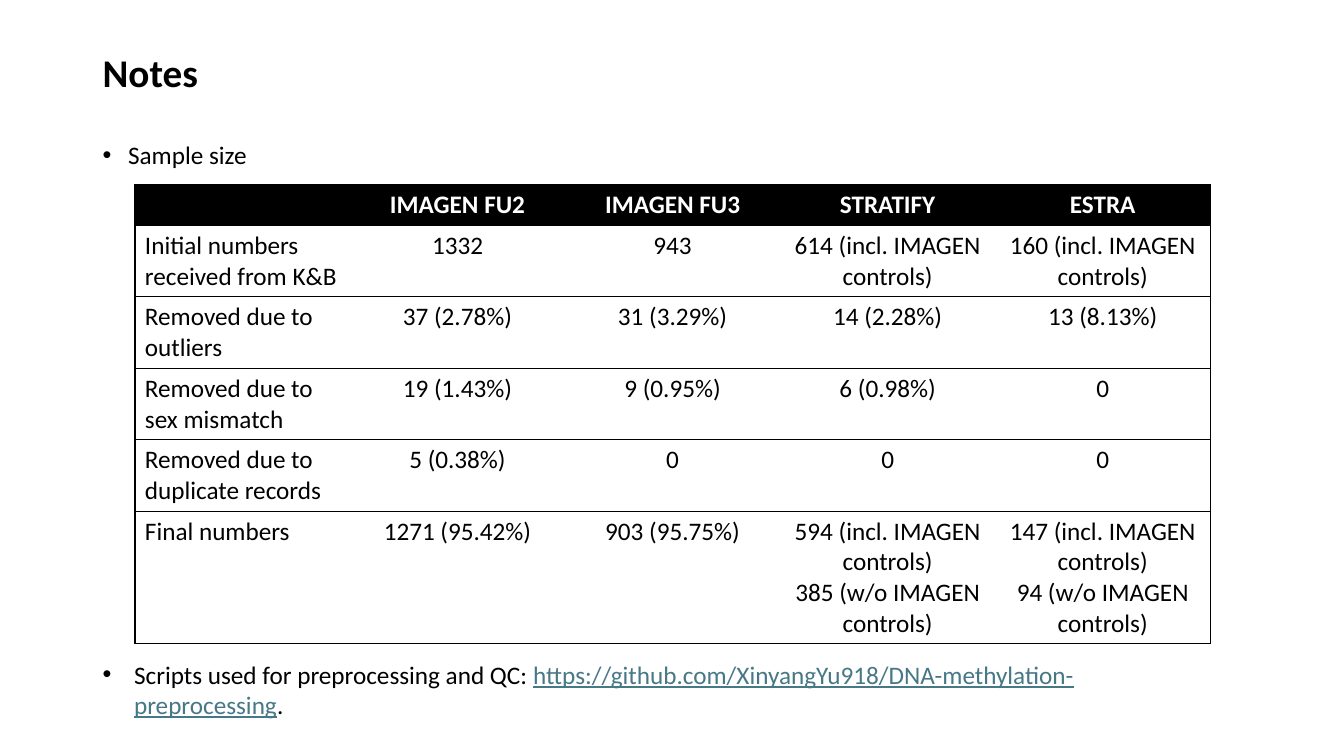
"""Build the notes slide with sample sizes per cohort and the script location."""
from dataclasses import dataclass

from lxml.etree import SubElement
from pptx import Presentation
from pptx.dml.color import RGBColor
from pptx.enum.text import MSO_ANCHOR, PP_ALIGN
from pptx.oxml.ns import qn
from pptx.util import Cm, Pt

COLORS = {"ink": "000000", "paper": "FFFFFF", "link": "467886"}
FONT = "Calibri"
COLUMN_WIDTH = 5.42
HEADER_HEIGHT, LINE_HEIGHT, CELL_PADDING = 1.03, 0.77, 0.26
BODY_LINES = (2, 2, 2, 2, 4)

SAMPLE_SIZES = (
    ("", "IMAGEN FU2", "IMAGEN FU3", "STRATIFY", "ESTRA"),
    ("Initial numbers received from K&B", "1332", "943",
     "614 (incl. IMAGEN controls)", "160 (incl. IMAGEN controls)"),
    ("Removed due to outliers", "37 (2.78%)", "31 (3.29%)", "14 (2.28%)", "13 (8.13%)"),
    ("Removed due to sex mismatch", "19 (1.43%)", "9 (0.95%)", "6 (0.98%)", "0"),
    ("Removed due to duplicate records", "5 (0.38%)", "0", "0", "0"),
    ("Final numbers", "1271 (95.42%)", "903 (95.75%)",
     "594 (incl. IMAGEN controls)\n385 (w/o IMAGEN controls)",
     "147 (incl. IMAGEN controls)\n94 (w/o IMAGEN controls)"),
)


@dataclass(frozen=True)
class Piece:
    """A stretch of text in one style."""
    text: str
    color: str = "ink"
    size: float = 18
    bold: bool = False
    underline: bool = False


@dataclass(frozen=True)
class Passage:
    """A paragraph in its own box, measured in centimetres."""
    left: float
    top: float
    width: float
    height: float
    pieces: tuple[Piece, ...]
    indent: float = 0
    line_spacing: float = 1.0
    anchor: MSO_ANCHOR = MSO_ANCHOR.TOP


PASSAGES = (
    Passage(2.34, 0.05, 29.21, 3.68, (Piece("Notes", size=28, bold=True),),
            line_spacing=0.9, anchor=MSO_ANCHOR.MIDDLE),
    Passage(2.34, 3.48, 29.21, 1.1, (Piece("Sample size"),), indent=0.64, line_spacing=0.9),
    Passage(2.34, 16.48, 28.14, 1.8, (
        Piece("Scripts used for preprocessing and QC: "),
        Piece("https://github.com/XinyangYu918/DNA-methylation-preprocessing",
              color="link", underline=True),
        Piece("."),
    ), indent=0.79),
)


def color(name: str) -> RGBColor:
    """Return a palette colour."""
    return RGBColor.from_string(COLORS[name])


def add_piece(paragraph, piece: Piece) -> None:
    """Append one styled run."""
    run = paragraph.add_run()
    run.text = piece.text
    run.font.name = FONT
    run.font.size = Pt(piece.size)
    run.font.bold = piece.bold
    run.font.underline = piece.underline
    run.font.color.rgb = color(piece.color)


def add_bullet(paragraph, indent: float) -> None:
    """Give a paragraph a round bullet with a hanging indent."""
    properties = paragraph._p.get_or_add_pPr()
    properties.set("marL", str(Cm(indent)))
    properties.set("indent", str(-Cm(indent)))
    SubElement(properties, qn("a:buFont"), typeface="Arial")
    SubElement(properties, qn("a:buChar"), char="•")


def add_passage(slide, passage: Passage) -> None:
    """Place a passage on the slide."""
    box = slide.shapes.add_textbox(
        Cm(passage.left), Cm(passage.top), Cm(passage.width), Cm(passage.height))
    frame = box.text_frame
    frame.word_wrap = True
    frame.vertical_anchor = passage.anchor
    paragraph = frame.paragraphs[0]
    if passage.indent:
        add_bullet(paragraph, passage.indent)
    paragraph.line_spacing = passage.line_spacing
    for piece in passage.pieces:
        add_piece(paragraph, piece)


def set_borders(cell, visible_sides: str) -> None:
    """Rule the given sides of a cell and clear the others."""
    properties = cell._tc.get_or_add_tcPr()
    for side in "LRTB":
        line = SubElement(properties, qn(f"a:ln{side}"), w=str(Pt(1)))
        if side in visible_sides:
            fill = SubElement(line, qn("a:solidFill"))
            SubElement(fill, qn("a:srgbClr"), val=COLORS["ink"])
        else:
            SubElement(line, qn("a:noFill"))


def add_sample_sizes(slide) -> None:
    """Draw the sample size table."""
    heights = [HEADER_HEIGHT] + [CELL_PADDING + LINE_HEIGHT * lines for lines in BODY_LINES]
    last = len(SAMPLE_SIZES[0]) - 1
    table = slide.shapes.add_table(
        len(SAMPLE_SIZES), last + 1, Cm(3.4), Cm(4.65),
        Cm(COLUMN_WIDTH * (last + 1)), Cm(sum(heights))).table
    table.first_row = table.horz_banding = False
    for column in table.columns:
        column.width = Cm(COLUMN_WIDTH)
    for r, (entries, height) in enumerate(zip(SAMPLE_SIZES, heights)):
        table.rows[r].height = Cm(height)
        header = r == 0
        for c, entry in enumerate(entries):
            cell = table.cell(r, c)
            set_borders(cell, "TB" + "L" * (c == 0) + "R" * (c == last))
            cell.fill.solid()
            cell.fill.fore_color.rgb = color("ink" if header else "paper")
            frame = cell.text_frame
            for i, text in enumerate(entry.split("\n") if entry else ()):
                paragraph = frame.add_paragraph() if i else frame.paragraphs[0]
                paragraph.alignment = PP_ALIGN.CENTER if c else PP_ALIGN.LEFT
                add_piece(paragraph, Piece(text, "paper" if header else "ink", bold=header))


def main() -> None:
    """Create and save the presentation."""
    presentation = Presentation()
    presentation.slide_width, presentation.slide_height = Cm(33.87), Cm(19.05)
    slide = presentation.slides.add_slide(presentation.slide_layouts[6])
    for passage in PASSAGES:
        add_passage(slide, passage)
    add_sample_sizes(slide)
    presentation.save("out.pptx")


if __name__ == "__main__":
    main()
